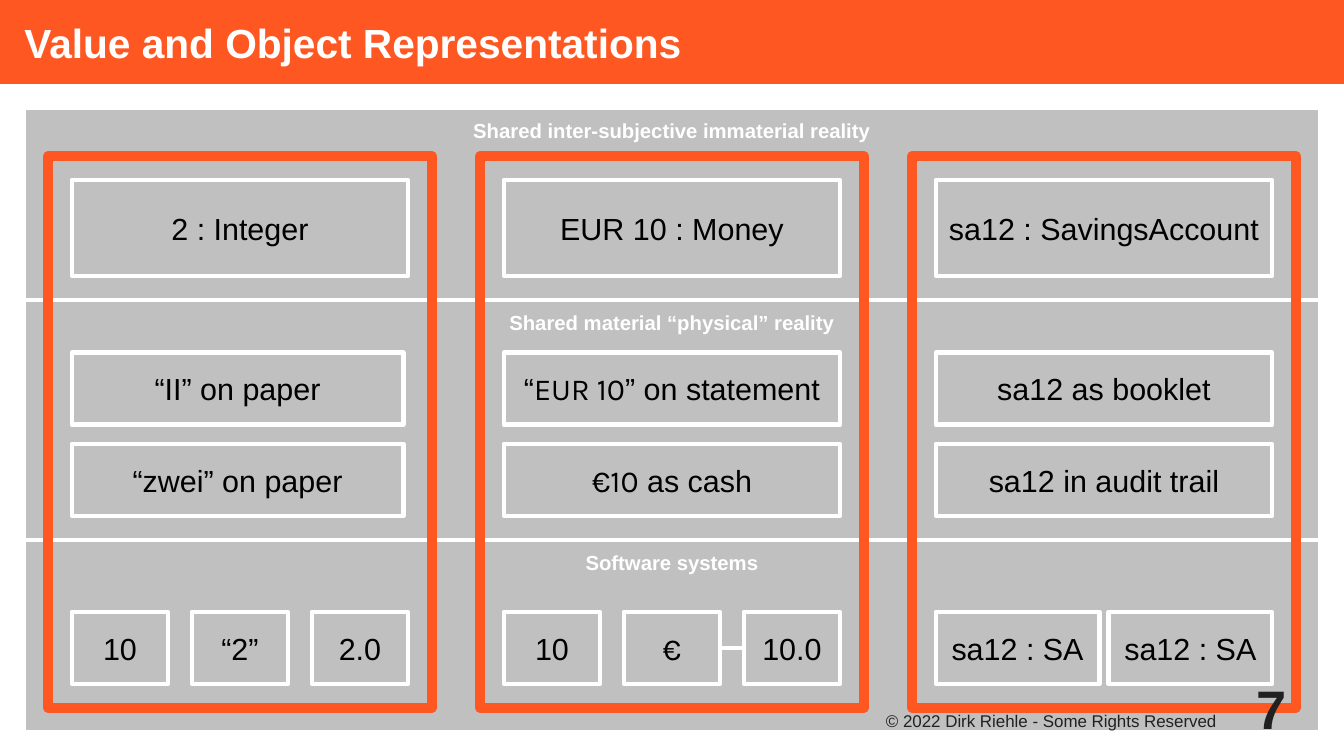
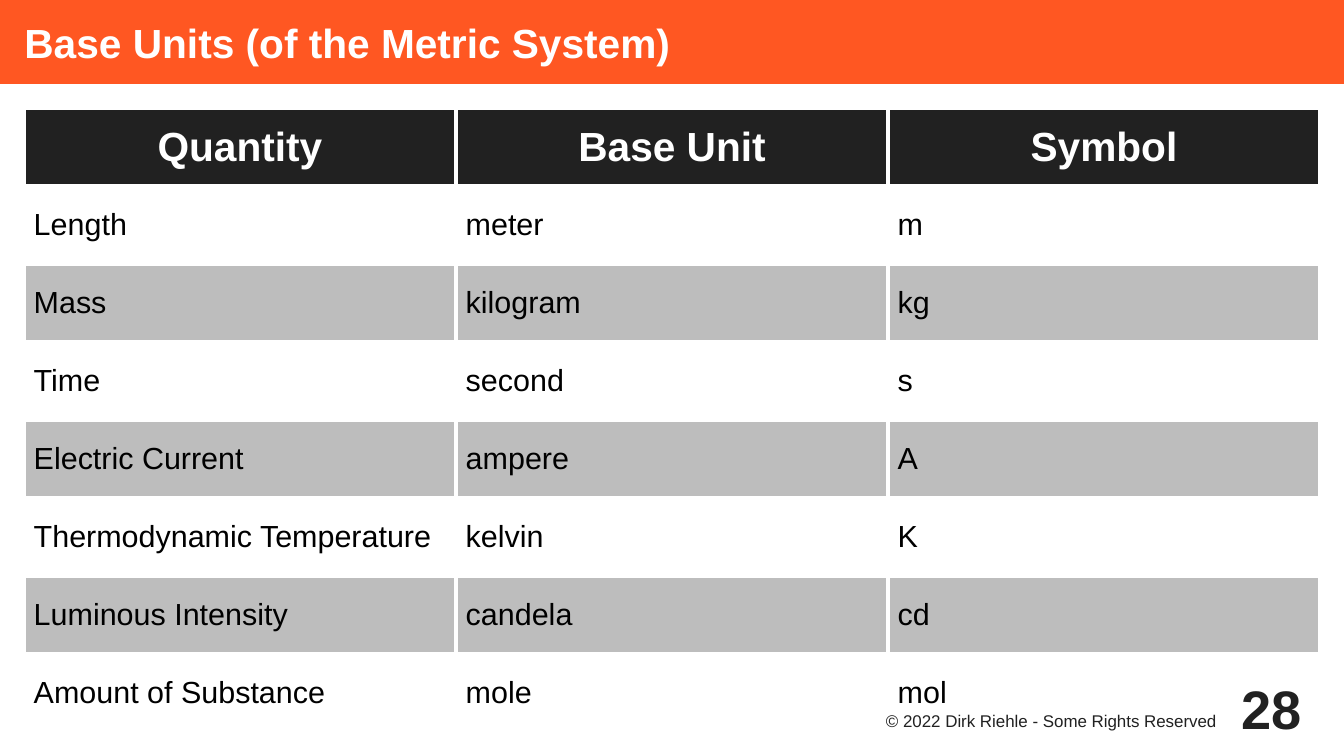
from collections import namedtuple
from dataclasses import dataclass

from lxml.etree import SubElement
from pptx import Presentation
from pptx.dml.color import RGBColor
from pptx.enum.shapes import MSO_CONNECTOR as Connector, MSO_SHAPE as Preset
from pptx.enum.text import MSO_ANCHOR as Anchor, MSO_AUTO_SIZE as AutoSize, PP_ALIGN as Align
from pptx.oxml.ns import qn
from pptx.util import Cm, Pt


@dataclass(frozen=True)
class Theme:
    accent: str = "FF5722"
    panel: str = "C0C0C0"
    stripe: str = "BDBDBD"
    dark: str = "212121"
    white: str = "FFFFFF"
    black: str = "000000"
    font: str = "Arial"
    money_font: str = "Karla"
    title_size: float = 24
    body_size: float = 18
    label_size: float = 12
    footer_size: float = 10
    number_size: float = 32
    thin: float = 2.83
    thick: float = 5.67
    border: float = 2.27


THEME = Theme()
Column = namedtuple("Column", "concept papers values paper_width")

SLIDE_COLUMNS, SLIDE_ROWS = 56, 31.5
TITLE_ROWS = 3.5
LEFT, TOP, CONTENT_WIDTH = 1, 4.5, 54
COLUMN_PITCH, FRAME_WIDTH, CARD_WIDTH = 18, 16, 14
CARD_GAPS = {1: 0, 2: 0.4, 3: 1}
COPYRIGHT = "© 2022 Dirk Riehle - Some Rights Reserved"

LAYERS = [
    ("Shared inter-subjective immaterial reality", 8),
    ("Shared material “physical” reality", 10),
    ("Software systems", 8),
]
COLUMNS = [
    Column("2 : Integer", ["“II” on paper", "“zwei” on paper"], ["10", "“2”", "2.0"], 13.8),
    Column(
        "EUR 10 : Money",
        [
            [("“", THEME.font), ("EUR 10", THEME.money_font), ("” on statement", THEME.font)],
            [("€10", THEME.money_font), (" as cash", THEME.font)],
        ],
        ["10", [("€", THEME.money_font)], "10.0"],
        CARD_WIDTH,
    ),
    Column(
        "sa12 : SavingsAccount",
        ["sa12 as booklet", "sa12 in audit trail"],
        ["sa12 : SA", "sa12 : SA"],
        CARD_WIDTH,
    ),
]
UNITS = [
    ("Quantity", "Base Unit", "Symbol"),
    ("Length", "meter", "m"),
    ("Mass", "kilogram", "kg"),
    ("Time", "second", "s"),
    ("Electric Current", "ampere", "A"),
    ("Thermodynamic Temperature", "kelvin", "K"),
    ("Luminous Intensity", "candela", "cd"),
    ("Amount of Substance", "mole", "mol"),
]


def grid(units):
    return Cm(units / 2)


def area(left, top, width, height):
    return [grid(value) for value in (left, top, width, height)]


def color(value):
    return RGBColor.from_string(value)


def paint(fill, value):
    fill.solid()
    fill.fore_color.rgb = color(value)


def write(frame, text, size=THEME.body_size, ink=THEME.black, bold=False,
          align=Align.CENTER, anchor=Anchor.MIDDLE, insets=(0.08, 0.08, 0.08, 0.08), wrap=True):
    frame.auto_size = AutoSize.NONE
    frame.word_wrap = wrap
    frame.vertical_anchor = anchor
    frame.margin_left, frame.margin_top, frame.margin_right, frame.margin_bottom = (
        Pt(inset * 72) for inset in insets
    )
    paragraph = frame.paragraphs[0]
    paragraph.alignment = align
    for part, font_name in [(text, THEME.font)] if isinstance(text, str) else text:
        run = paragraph.add_run()
        run.text = part
        run.font.name = font_name
        run.font.size = Pt(size)
        run.font.bold = bold
        run.font.color.rgb = color(ink)


def add_box(slide, place, line=THEME.white, width=THEME.thin, fill=THEME.panel):
    shape = slide.shapes.add_shape(Preset.RECTANGLE, *area(*place))
    shape.shadow.inherit = False
    if fill:
        paint(shape.fill, fill)
    else:
        shape.fill.background()
    paint(shape.line.fill, line)
    shape.line.width = Pt(width)
    SubElement(shape.line.fill._xPr, qn("a:round"))
    return shape


def add_card(slide, text, place):
    shape = add_box(slide, place)
    write(shape.text_frame, text, wrap=False)
    return shape


def add_card_row(slide, texts, left, top):
    gap = CARD_GAPS[len(texts)]
    width = (CARD_WIDTH - gap * (len(texts) - 1)) / len(texts)
    return [
        add_card(slide, text, (left + index * (width + gap), top, width, 3))
        for index, text in enumerate(texts)
    ]


def add_join(slide, start, end):
    connector = slide.shapes.add_connector(Connector.STRAIGHT, 0, 0, 0, 0)
    connector.begin_connect(start, 3)
    connector.end_connect(end, 1)
    paint(connector.line.fill, THEME.white)
    connector.line.width = Pt(THEME.thin)
    SubElement(connector._element.spPr, qn("a:effectLst"))


def add_layers(slide):
    top = TOP
    for label, height in LAYERS:
        shape = add_box(slide, (LEFT, top, CONTENT_WIDTH, height))
        write(shape.text_frame, label, size=THEME.label_size, ink=THEME.white, bold=True,
              anchor=Anchor.TOP, wrap=False)
        top += height


def add_column(slide, column, left):
    card_left = left + (FRAME_WIDTH - CARD_WIDTH) / 2
    add_card(slide, column.concept, (card_left, 7.5, CARD_WIDTH, 4))
    for text, top in zip(column.papers, (14.7, 18.5)):
        add_card(slide, text, (card_left, top, column.paper_width, 3))
    value_cards = add_card_row(slide, column.values, card_left, 25.5)
    add_box(slide, (left, 6.5, FRAME_WIDTH, 23), line=THEME.accent, width=THEME.thick, fill=None)
    return value_cards


def add_borders(cell):
    properties = cell._tc.get_or_add_tcPr()
    for position, side in enumerate(("a:lnL", "a:lnR", "a:lnT", "a:lnB")):
        line = SubElement(properties, qn(side), w=str(Pt(THEME.border)))
        properties.insert(position, line)
        solid = SubElement(line, qn("a:solidFill"))
        SubElement(solid, qn("a:srgbClr"), val=THEME.white)


def fill_cell(cell, text, row):
    paint(cell.fill, THEME.dark if row == 0 else THEME.white if row % 2 else THEME.stripe)
    add_borders(cell)
    cell.vertical_anchor = Anchor.MIDDLE
    cell.margin_left = cell.margin_right = Pt(5.76)
    cell.margin_top = cell.margin_bottom = Pt(3.6)
    paragraph = cell.text_frame.paragraphs[0]
    paragraph.alignment = Align.LEFT if row else Align.CENTER
    run = paragraph.add_run()
    run.text = text
    run.font.name = THEME.font
    run.font.size = Pt(THEME.body_size if row else THEME.title_size)
    run.font.bold = row == 0
    run.font.color.rgb = color(THEME.black if row else THEME.white)


def add_unit_table(slide):
    row_count, column_count = len(UNITS), len(UNITS[0])
    table = slide.shapes.add_table(
        row_count, column_count, *area(LEFT, TOP, CONTENT_WIDTH, 26)
    ).table
    for column in table.columns:
        column.width = grid(CONTENT_WIDTH / column_count)
    for row, texts in enumerate(UNITS):
        table.rows[row].height = grid(26 / row_count)
        for column, text in enumerate(texts):
            fill_cell(table.cell(row, column), text, row)


def add_slide(presentation, title_text):
    slide = presentation.slides.add_slide(presentation.slide_layouts[5])
    title = slide.shapes.title
    title.left, title.top, title.width, title.height = area(0, 0, SLIDE_COLUMNS, TITLE_ROWS)
    paint(title.fill, THEME.accent)
    write(title.text_frame, title_text, size=THEME.title_size, ink=THEME.white, bold=True,
          align=Align.LEFT, insets=(0.2, 0, 0, 0))
    return slide


def add_footer(slide, number):
    notice = slide.shapes.add_textbox(*area(36, 29.5, 16, 1.5))
    write(notice.text_frame, COPYRIGHT, size=THEME.footer_size, ink=THEME.dark,
          anchor=Anchor.TOP, insets=(0, 0.02, 0.08, 0))
    page = slide.shapes.add_textbox(*area(51, 28, 4, 3))
    write(page.text_frame, str(number), size=THEME.number_size, ink=THEME.dark, bold=True,
          insets=(0, 0, 0, 0))


def build_representations(presentation):
    slide = add_slide(presentation, "Value and Object Representations")
    add_layers(slide)
    value_rows = [
        add_column(slide, column, 2 + index * COLUMN_PITCH)
        for index, column in enumerate(COLUMNS)
    ]
    currency, amount = value_rows[1][1:]
    add_join(slide, currency, amount)
    add_footer(slide, 7)


def build_base_units(presentation):
    slide = add_slide(presentation, "Base Units (of the Metric System)")
    add_unit_table(slide)
    add_footer(slide, 28)


def main():
    presentation = Presentation()
    presentation.slide_width = grid(SLIDE_COLUMNS)
    presentation.slide_height = grid(SLIDE_ROWS)
    build_representations(presentation)
    build_base_units(presentation)
    presentation.save("out.pptx")


if __name__ == "__main__":
    main()
